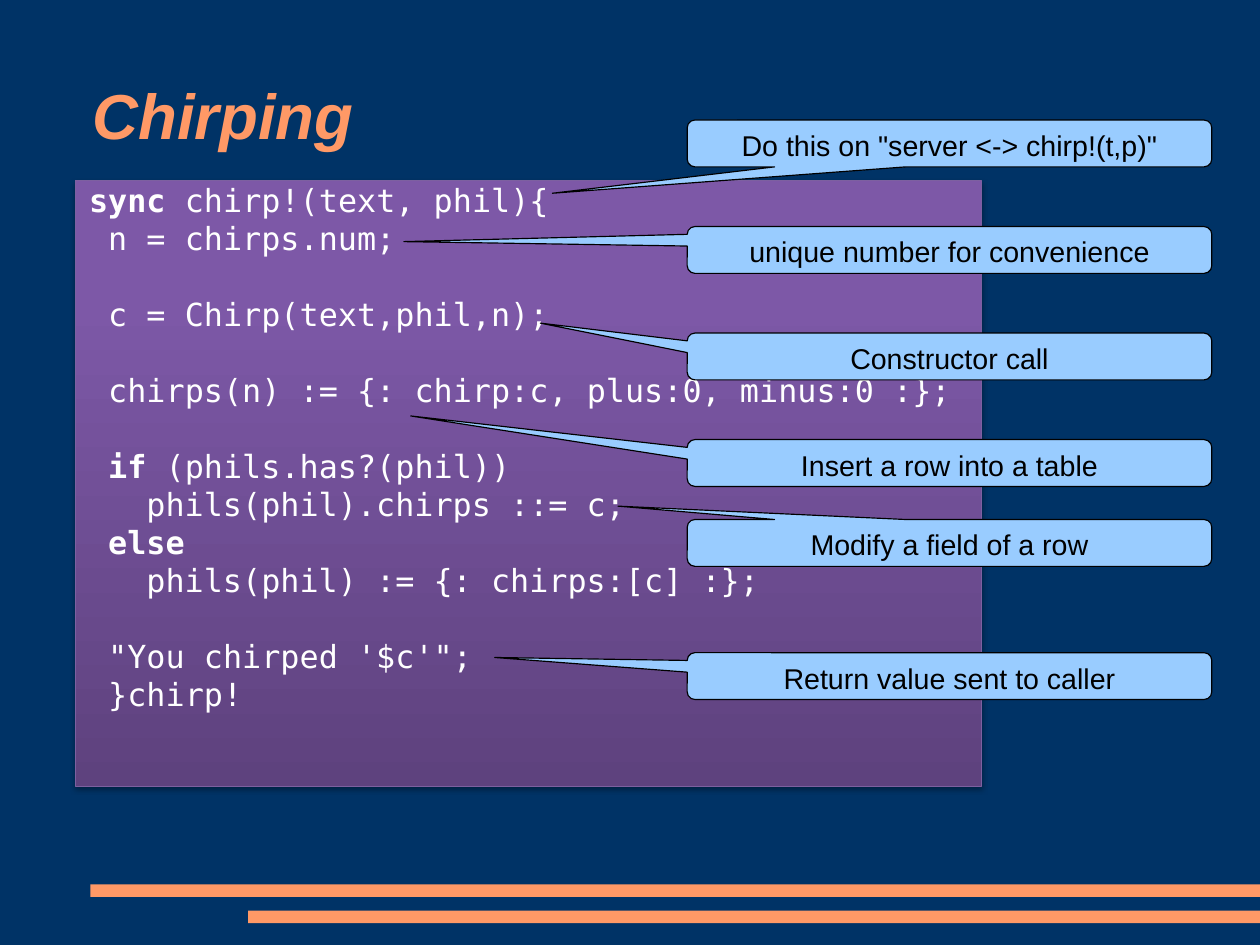
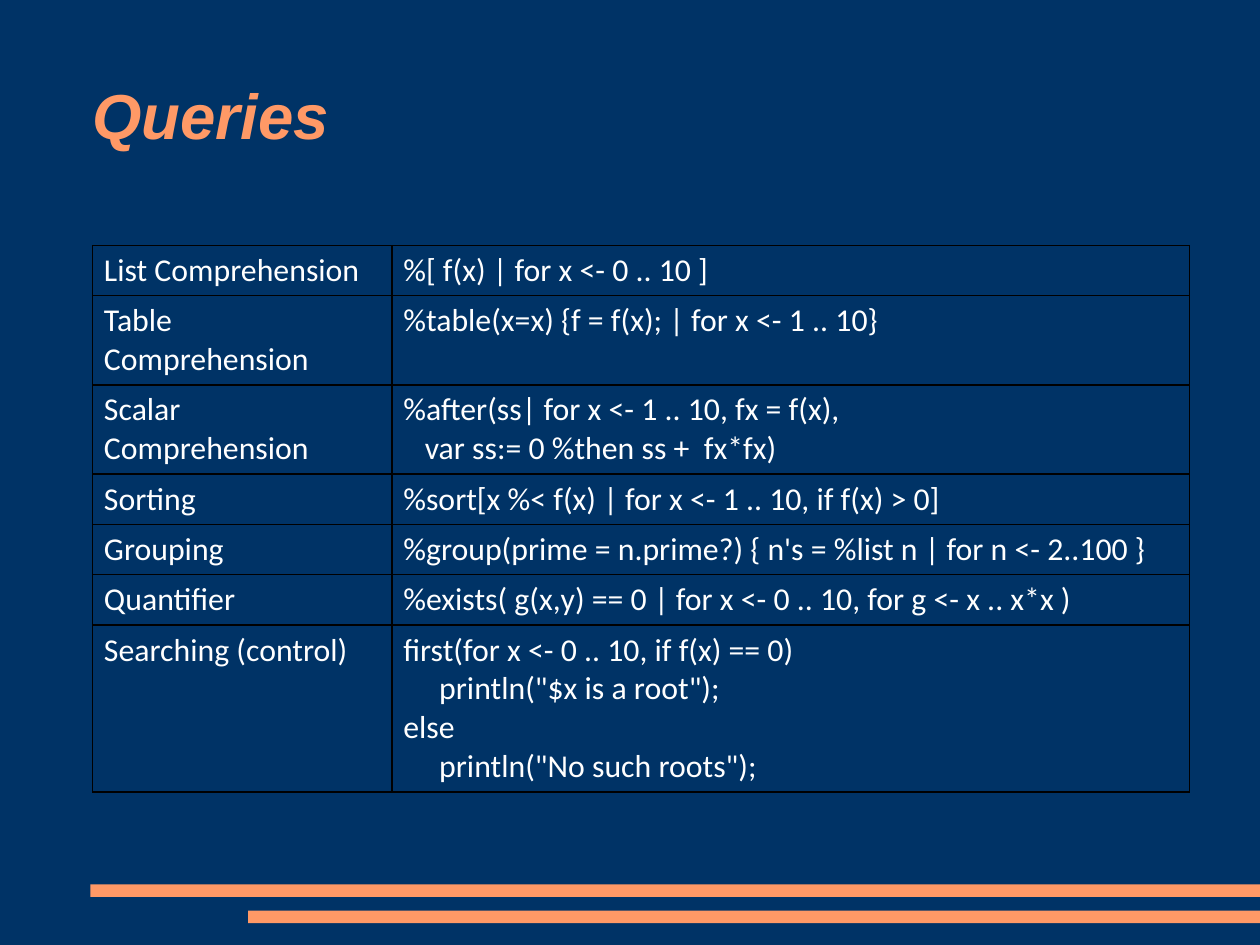
"""Build two slides on chirping and queries in a small programming language."""
from dataclasses import dataclass

from lxml import etree
from pptx import Presentation
from pptx import util as u
from pptx.dml.color import RGBColor
from pptx.enum import shapes, text
from pptx.oxml import ns

COLOURS = {
    "page": "003366",
    "accent": "FF9966",
    "code_top": "7D58A7",
    "code_bottom": "5E427E",
    "code_edge": "7D60A0",
    "callout": "99CCFF",
    "ink": "000000",
    "light": "FFFFFF",
}
PAGE_WIDTH, PAGE_HEIGHT = 793.75, 595.25
CODE_LINE, CODE_INDENT, CODE_CHAR = 23.95, 8.64, 12.04
NOTE_TOP, NOTE_STEP = 75.6, 67.1
CELL_LINE, CELL_PADDING, CELL_CHAR = 24.5, 7.2, 4.52


@dataclass(frozen=True)
class Font:
    """A typeface with its size and colour."""
    face: str
    size: float
    colour: str
    italic: bool = False


@dataclass(frozen=True)
class Box:
    """A frame in points."""
    left: float
    top: float
    width: float
    height: float

    def lengths(self) -> tuple:
        """Return the frame as lengths for a shape call."""
        return tuple(u.Pt(n) for n in (self.left, self.top, self.width, self.height))


@dataclass(frozen=True)
class Line:
    """A line of text with an optional bold start, an indent in characters and a gap above."""
    plain: str
    bold: str = ""
    indent: int = 0
    gap: int = 0


@dataclass(frozen=True)
class Note:
    """A callout at a step of the column, pointing to a relative tip."""
    words: str
    step: float
    tip_x: float
    tip_y: float


@dataclass(frozen=True)
class Query:
    """A kind of query, its code, and the lines its row takes."""
    kind: str
    code: tuple
    lines: int = 1


TITLE_FONT = Font("Arial", 40, "accent", italic=True)
CODE_FONT = Font("DejaVu Sans Mono", 20, "light")
NOTE_FONT = Font("Arial", 18, "ink")
CELL_FONT = Font("Calibri", 20, "light")

BANDS = tuple(Box(left, top, PAGE_WIDTH - left, 7.9)
              for left, top in ((57, 557), (156.4, 573.6)))
TITLE_BOX = Box(58.3, 25.9, 677.5, 92.2)
CODE_BOX = Box(47.5, 113.8, 571, 381.6)

CODE = (
    Line("chirp!(text, phil){", bold="sync "),
    Line("n = chirps.num;", indent=1),
    Line("c = Chirp(text,phil,n);", indent=1, gap=1),
    Line("chirps(n) := {: chirp:c, plus:0, minus:0 :};", indent=1, gap=1),
    Line("(phils.has?(phil))", bold="if ", indent=1, gap=1),
    Line("phils(phil).chirps ::= c;", indent=3),
    Line("", bold="else", indent=1),
    Line("phils(phil) := {: chirps:[c] :};", indent=3),
    Line("\"You chirped '$c'\";", indent=1, gap=1),
    Line("}chirp!", indent=1),
)
NOTES = (
    Note('Do this on "server <-> chirp!(t,p)"', 0, -0.757, 1.063),
    Note("unique number for convenience", 1, -1.04, -0.178),
    Note("Constructor call", 2, -0.78, -0.713),
    Note("Insert a row into a table", 3, -1.027, -1.005),
    Note("Modify a field of a row", 3.75, -0.632, -0.786),
    Note("Return value sent to caller", 5, -0.867, -0.397),
)
QUERIES = (
    Query("List Comprehension", (Line("%[ f(x) | for x <- 0 .. 10 ]"),)),
    Query("Table Comprehension", (Line("%table(x=x) {f = f(x); | for x <- 1 .. 10}"),), 2),
    Query("Scalar Comprehension", (
        Line("%after(ss| for x <- 1 .. 10, fx = f(x),"),
        Line("var ss:= 0 %then ss +  fx*fx)", indent=3),
    ), 2),
    Query("Sorting", (Line("%sort[x %< f(x) | for x <- 1 .. 10, if f(x) > 0]"),)),
    Query("Grouping", (
        Line("%group(prime = n.prime?) { n's = %list n | for n <- 2..100 }"),)),
    Query("Quantifier", (
        Line("%exists( g(x,y) == 0 | for x <- 0 .. 10, for g <- x .. x*x )"),)),
    Query("Searching (control)", (
        Line("first(for x <- 0 .. 10, if f(x) == 0)"),
        Line('println("$x is a root");', indent=5),
        Line("else"),
        Line('println("No such roots");', indent=5),
    ), 4),
)


def rgb(name: str) -> RGBColor:
    """Look up a colour by name."""
    return RGBColor.from_string(COLOURS[name])


def write(frame, lines: tuple, font: Font, char: float = 0, margin: float = 0,
          pitch: float = 0, align=text.PP_ALIGN.LEFT) -> None:
    """Write lines run by run, one paragraph each."""
    for number, line in enumerate(lines):
        paragraph = frame.add_paragraph() if number else frame.paragraphs[0]
        paragraph.alignment = align
        indent = u.Pt(round(margin + char * line.indent, 2))
        if indent:
            paragraph._p.get_or_add_pPr().set("marL", str(indent))
        if pitch:
            paragraph.line_spacing = u.Pt(pitch)
            paragraph.space_before = u.Pt(pitch * line.gap)
        for words, bold in ((line.bold, True), (line.plain, False)):
            if words:
                run = paragraph.add_run()
                run.text = words
                run.font.name, run.font.size = font.face, u.Pt(font.size)
                run.font.bold, run.font.italic = bold, font.italic
                run.font.color.rgb = rgb(font.colour)


def set_frame(frame, anchor, insets: tuple = (0, 0, 0, 0)) -> None:
    """Set wrapping, anchor and insets of a text frame."""
    frame.word_wrap = True
    frame.vertical_anchor = anchor
    (frame.margin_left, frame.margin_top,
     frame.margin_right, frame.margin_bottom) = (u.Pt(n) for n in insets)


def add_page(deck, title: str):
    """Add a slide with the shared bands and title."""
    page = deck.slides.add_slide(deck.slide_layouts[6])
    for box in BANDS:
        band = page.shapes.add_shape(shapes.MSO_SHAPE.RECTANGLE, *box.lengths())
        band.shadow.inherit = False
        band.fill.solid()
        band.fill.fore_color.rgb = rgb("accent")
        band.line.fill.background()
    heading = page.shapes.add_textbox(*TITLE_BOX.lengths())
    set_frame(heading.text_frame, text.MSO_ANCHOR.MIDDLE)
    write(heading.text_frame, (Line("", bold=title),), TITLE_FONT)
    return page


def add_code(page) -> None:
    """Draw the shaded code panel."""
    panel = page.shapes.add_shape(shapes.MSO_SHAPE.RECTANGLE, *CODE_BOX.lengths())
    panel.fill.gradient()
    panel.fill.gradient_angle = 270
    stops = (("code_top", 0.2), ("code_bottom", 1.0))
    for stop, (colour, position) in zip(panel.fill.gradient_stops, stops):
        stop.color.rgb = rgb(colour)
        stop.position = position
    panel.line.color.rgb = rgb("code_edge")
    panel.line.width = u.Pt(0.75)
    panel.shadow.inherit = False
    effects = panel._element.spPr.find(ns.qn("a:effectLst"))
    shade = etree.SubElement(effects, ns.qn("a:outerShdw"), blurRad=str(u.Pt(3)),
                             dist=str(u.Pt(2)), dir="5400000", rotWithShape="0")
    tint = etree.SubElement(shade, ns.qn("a:srgbClr"), val=COLOURS["ink"])
    etree.SubElement(tint, ns.qn("a:alpha"), val="35000")
    set_frame(panel.text_frame, text.MSO_ANCHOR.TOP)
    write(panel.text_frame, CODE, CODE_FONT, CODE_CHAR, CODE_INDENT, CODE_LINE)


def add_note(page, note: Note) -> None:
    """Draw a callout that explains a line of code."""
    box = Box(432.9, NOTE_TOP + NOTE_STEP * note.step, 330.5, 29.5)
    callout = page.shapes.add_shape(
        shapes.MSO_SHAPE.ROUNDED_RECTANGULAR_CALLOUT, *box.lengths())
    for number, value in enumerate((note.tip_x, note.tip_y, 0.167)):
        callout.adjustments[number] = value
    callout.shadow.inherit = False
    callout.fill.solid()
    callout.fill.fore_color.rgb = rgb("callout")
    callout.line.color.rgb = rgb("ink")
    callout.line.width = u.Pt(0)
    set_frame(callout.text_frame, text.MSO_ANCHOR.TOP, (7.2, 3.6, 7.2, 3.6))
    write(callout.text_frame, (Line(note.words),), NOTE_FONT, align=text.PP_ALIGN.CENTER)


def border(cell) -> None:
    """Give a cell no fill and a thin line on every side."""
    cell.fill.background()
    properties = cell._tc.get_or_add_tcPr()
    for number, side in enumerate(("lnL", "lnR", "lnT", "lnB")):
        edge = etree.Element(ns.qn(f"a:{side}"), w=str(u.Pt(1)))
        fill = etree.SubElement(edge, ns.qn("a:solidFill"))
        etree.SubElement(fill, ns.qn("a:srgbClr"), val=COLOURS["ink"])
        properties.insert(number, edge)


def add_queries(page) -> None:
    """Draw the table of queries."""
    heights = [query.lines * CELL_LINE + CELL_PADDING for query in QUERIES]
    widths = (188.6, 502.4)
    box = Box(58.3, 154.6, sum(widths), sum(heights))
    table = page.shapes.add_table(len(QUERIES), len(widths), *box.lengths()).table
    table.first_row = table.horz_banding = False
    for column, width in zip(table.columns, widths):
        column.width = u.Pt(width)
    for row, height, query in zip(table.rows, heights, QUERIES):
        row.height = u.Pt(height)
        for cell, lines in zip(row.cells, ((Line(query.kind),), query.code)):
            write(cell.text_frame, lines, CELL_FONT, CELL_CHAR)
            border(cell)


def main() -> None:
    """Build and save the slides."""
    deck = Presentation()
    deck.slide_width, deck.slide_height = u.Pt(PAGE_WIDTH), u.Pt(PAGE_HEIGHT)
    backdrop = deck.slide_master.background.fill
    backdrop.solid()
    backdrop.fore_color.rgb = rgb("page")
    chirping = add_page(deck, "Chirping")
    add_code(chirping)
    for note in NOTES:
        add_note(chirping, note)
    add_queries(add_page(deck, "Queries"))
    deck.save("out.pptx")


main()
